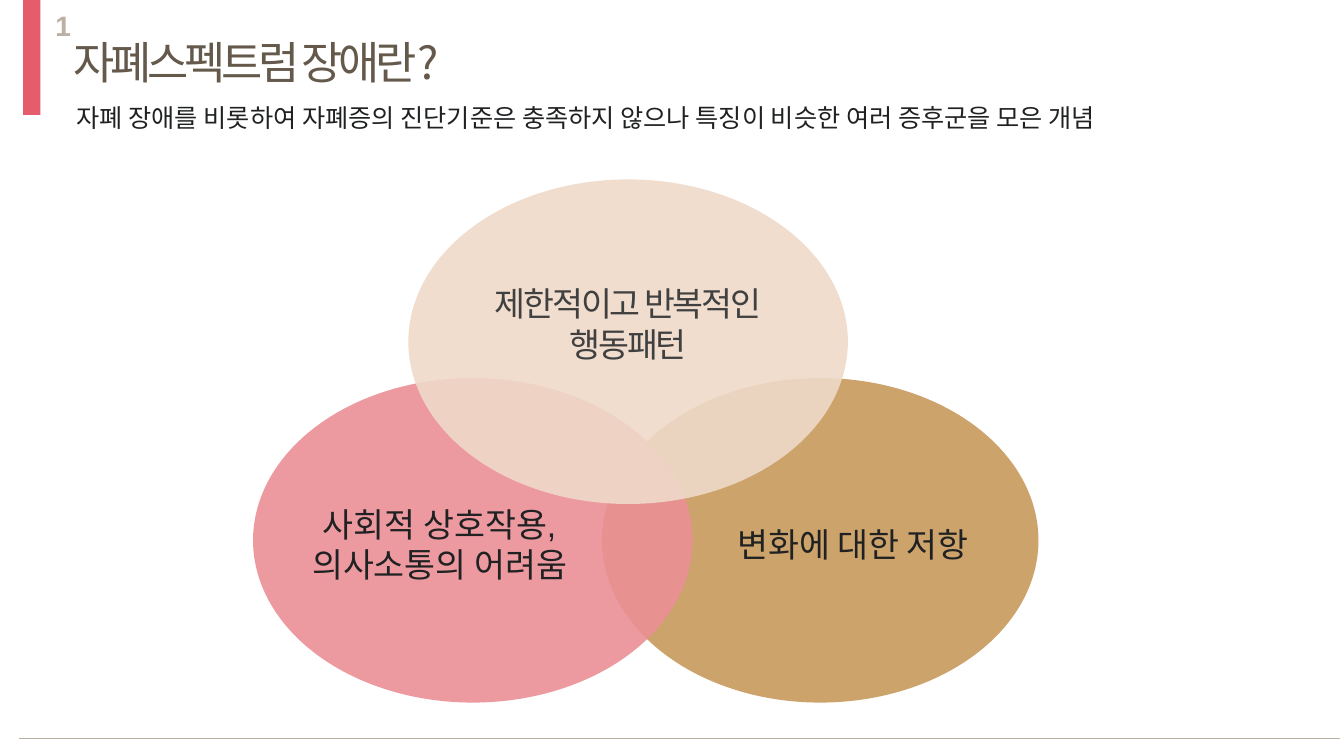
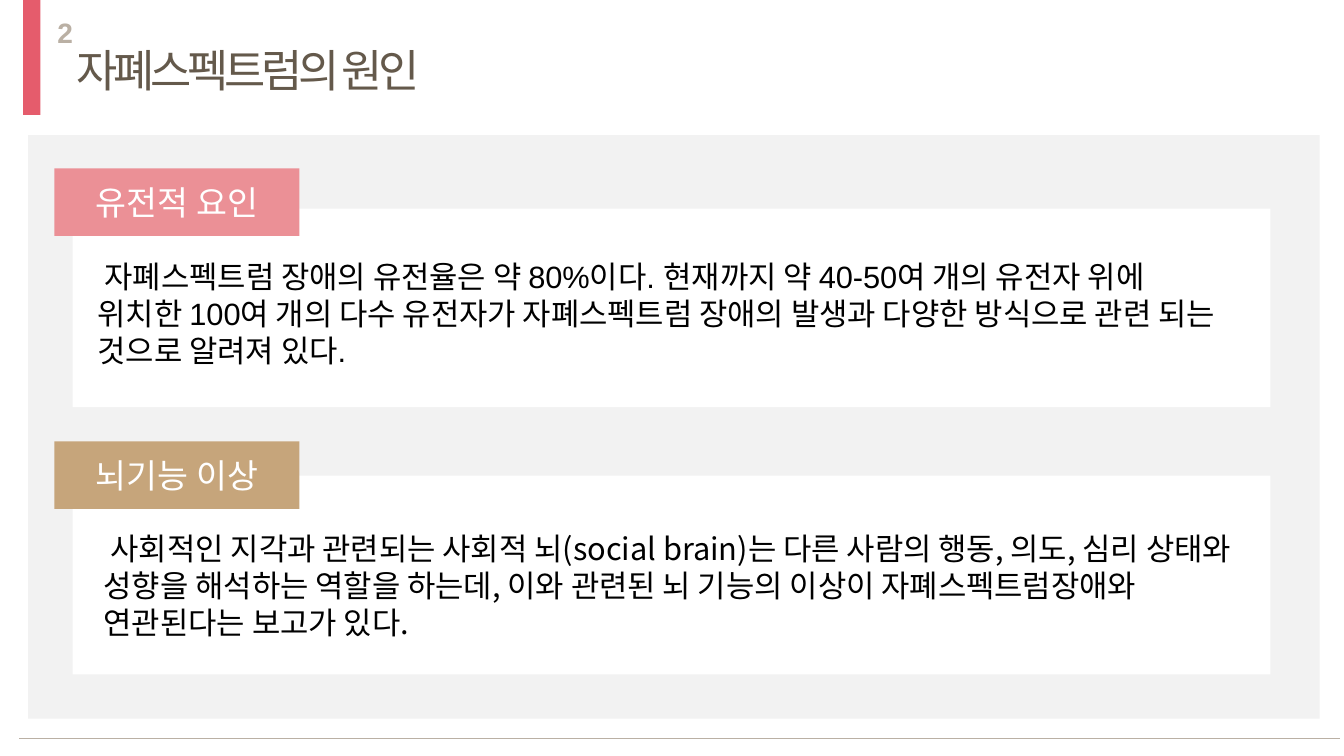
import pptx
import pptx.util
from dataclasses import dataclass
from lxml import etree
from pptx.dml.color import RGBColor
from pptx.enum.shapes import MSO_CONNECTOR, MSO_SHAPE
from pptx.enum.text import MSO_ANCHOR, MSO_AUTO_SIZE, PP_ALIGN
from pptx.oxml.ns import qn

PX = 9144  # EMU per px, 100 px to the inch


@dataclass(frozen=True)
class Theme:
    accent: str = "E55C6C"
    title: str = "64594B"
    muted: str = "BAB0A4"
    ink: str = "202122"
    grey_ink: str = "404040"
    black: str = "000000"
    white: str = "FFFFFF"
    panel: str = "F2F2F2"
    pink: str = "EB9096"
    gold: str = "C79A5C"
    tan: str = "C6A57B"
    cream: str = "EFDAC9"
    latin: str = "Arial"
    korean: str = "Noto Sans CJK KR"
    title_size: int = 32
    label_size: int = 24
    body_size: int = 22
    number_size: int = 20
    lead_size: int = 18


theme = Theme()


def add_block(slide, kind, box, color, opacity=100):
    shape = slide.shapes.add_shape(kind, *[value * PX for value in box])
    shape.shadow.inherit = False
    shape.fill.solid()
    shape.fill.fore_color.rgb = RGBColor.from_string(color)
    shape.line.fill.background()
    if opacity < 100:
        color_element = shape.fill._xPr.find(qn("a:solidFill"))[0]
        etree.SubElement(color_element, qn("a:alpha"), val=str(opacity * 1000))
    return shape


def write_text(slide, text, box=None, holder=None, size=theme.label_size,
               color=theme.ink, font=theme.latin, bold=False, spacing=0,
               align=PP_ALIGN.LEFT, anchor=MSO_ANCHOR.TOP, wrap=False,
               grow=True, indent=0):
    """Write lines as paragraphs in the holder, or in a new text box."""
    if holder is None:
        holder = slide.shapes.add_textbox(0, 0, 0, 0)
    if box:
        holder.left, holder.top, holder.width, holder.height = [value * PX for value in box]
    frame = holder.text_frame
    frame.word_wrap = wrap
    frame.auto_size = MSO_AUTO_SIZE.SHAPE_TO_FIT_TEXT if grow else MSO_AUTO_SIZE.NONE
    frame.vertical_anchor = anchor
    for index, line in enumerate(text.split("\n")):
        paragraph = frame.add_paragraph() if index else frame.paragraphs[0]
        paragraph.alignment = align
        if indent and index == 0:
            paragraph._p.get_or_add_pPr().set("indent", str(indent * PX))
        run = paragraph.add_run()
        run.text = line
        run.font.size = pptx.util.Pt(size)
        run.font.bold = bold
        run.font.name = font
        run.font.color.rgb = RGBColor.from_string(color)
        properties = run._r.get_or_add_rPr()
        etree.SubElement(properties, qn("a:ea"), typeface=theme.korean)
        if spacing:
            properties.set("spc", str(int(spacing * 100)))


presentation = pptx.Presentation()
presentation.slide_width = 1333 * PX
presentation.slide_height = 750 * PX
title_only = presentation.slide_layouts[5]

# Shared frame: accent bar, number, title and footer rule
headings = [
    ("자폐스펙트럼 장애란?", (63, 29, 414, 64), (45, 4, 51, 44)),
    ("자폐스펙트럼의 원인", (66, 37, 398, 64), (47, 10, 51, 44)),
]
slides = []
for number, (title, title_box, number_box) in enumerate(headings, start=1):
    slide = presentation.slides.add_slide(title_only)
    add_block(slide, MSO_SHAPE.RECTANGLE, (23, 0, 17, 114), theme.accent)
    write_text(slide, str(number), number_box, size=theme.number_size,
               color=theme.muted, bold=True, wrap=True)
    write_text(slide, title, title_box, holder=slide.shapes.title,
               size=theme.title_size, color=theme.title, font=theme.korean, spacing=-3)
    rule = slide.shapes.add_connector(MSO_CONNECTOR.STRAIGHT,
                                      19 * PX, 733 * PX, 1329 * PX, 733 * PX)
    rule.line.color.rgb = RGBColor.from_string(theme.muted)
    rule.line.width = pptx.util.Pt(0.5)
    etree.SubElement(rule._element.spPr, qn("a:effectLst"))
    slides.append(slide)
definition_slide, causes_slide = slides

# Slide 1: lead sentence
write_text(definition_slide,
           "자폐 장애를 비롯하여 자폐증의 진단기준은 충족하지 않으나 특징이 비슷한 여러 증후군을 모은 개념",
           (66, 97, 1139, 40), size=theme.lead_size)

# Slide 1: three overlapping circles, then their labels
for box, color in [
    ((597, 375, 433, 322), theme.gold),
    ((251, 375, 436, 322), theme.pink),
    ((405, 178, 436, 322), theme.cream),
]:
    add_block(definition_slide, MSO_SHAPE.OVAL, box, color, opacity=90)

for label, box, style in [
    ("사회적 상호작용,\n의사소통의 어려움", (282, 495, 308, 91), {}),
    ("변화에 대한 저항", (709, 515, 274, 50), {}),
    ("제한적이고 반복적인\n행동패턴", (461, 276, 324, 91),
     {"color": theme.grey_ink, "font": theme.korean, "spacing": -1.5}),
]:
    write_text(definition_slide, label, box, align=PP_ALIGN.CENTER, **style)

# Slide 2: grey panel with one card per cause
add_block(causes_slide, MSO_SHAPE.RECTANGLE, (28, 134, 1281, 579), theme.panel)
for label, color, tab_top, card_top, body, body_box, font in [
    ("유전적 요인", theme.pink, 167, 207,
     "자폐스펙트럼 장애의 유전율은 약 80%이다. 현재까지 약 40-50여 개의 유전자 위에\n"
     "위치한 100여 개의 다수 유전자가 자폐스펙트럼 장애의 발생과 다양한 방식으로 "
     "관련 되는 것으로 알려져 있다.",
     (87, 251, 1163, 121), theme.latin),
    ("뇌기능 이상", theme.tan, 438, 472,
     "사회적인 지각과 관련되는 사회적 뇌(social brain)는 다른 사람의 행동, 의도, 심리 "
     "상태와 성향을 해석하는 역할을 하는데, 이와 관련된 뇌 기능의 이상이 "
     "자폐스펙트럼장애와 연관된다는 보고가 있다.",
     (93, 521, 1145, 151), theme.korean),
]:
    add_block(causes_slide, MSO_SHAPE.RECTANGLE, (72, card_top, 1188, 197), theme.white)
    tab = add_block(causes_slide, MSO_SHAPE.RECTANGLE, (54, tab_top, 243, 67), color)
    write_text(causes_slide, label, holder=tab, color=theme.white, wrap=True, grow=False,
               align=PP_ALIGN.CENTER, anchor=MSO_ANCHOR.MIDDLE)
    write_text(causes_slide, body, body_box, size=theme.body_size, color=theme.black,
               font=font, wrap=True, indent=7)

presentation.save("out.pptx")
